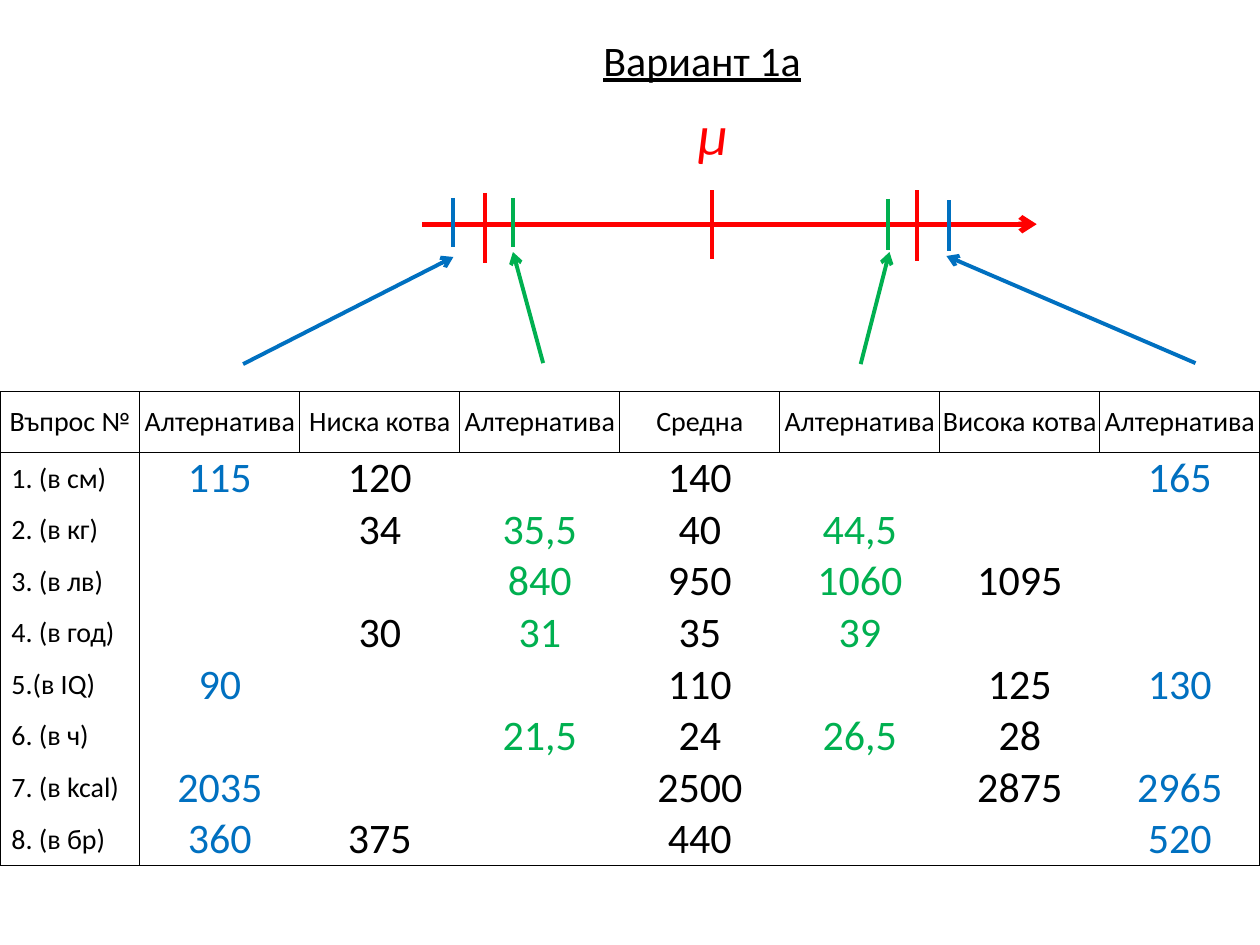
from dataclasses import dataclass

from lxml.etree import SubElement
from pptx import Presentation
from pptx.dml.color import RGBColor
from pptx.enum.shapes import MSO_CONNECTOR as Connector
from pptx.enum.text import MSO_ANCHOR as Anchor
from pptx.enum.text import MSO_AUTO_SIZE as AutoSize
from pptx.enum.text import PP_ALIGN as Align
from pptx.oxml.ns import qn
from pptx.util import Cm, Pt


@dataclass(frozen=True)
class Theme:
    font: str = "Calibri"
    black: str = "000000"
    red: str = "FF0000"
    green: str = "00B050"
    blue: str = "0070C0"
    label_size: int = 16
    body_size: int = 24
    symbol_size: int = 32
    axis_width: float = 3
    line_width: float = 2.25
    border_width: float = 0.5


THEME = Theme()

# Colour, x, top and bottom in centimetres
TICKS = [
    (THEME.blue, 9.14, 3.99, 4.98),
    (THEME.red, 9.78, 3.89, 5.31),
    (THEME.green, 10.34, 3.99, 4.98),
    (THEME.red, 14.35, 3.84, 5.23),
    (THEME.green, 17.91, 4.01, 5.03),
    (THEME.red, 18.49, 3.84, 5.26),
    (THEME.blue, 19.13, 4.04, 5.05),
]

# Colour, start and end in centimetres
POINTERS = [
    (THEME.blue, (4.9, 7.34), (9.14, 5.18)),
    (THEME.green, (10.95, 7.32), (10.34, 5.08)),
    (THEME.green, (17.35, 7.34), (17.93, 5.08)),
    (THEME.blue, (24.1, 7.32), (19.08, 5.16)),
]

ROWS = [
    ["Въпрос №", "Алтернатива", "Ниска котва", "Алтернатива",
     "Средна", "Алтернатива", "Висока котва", "Алтернатива"],
    ["1. (в см)", "115", "120", "", "140", "", "", "165"],
    ["2. (в кг)", "", "34", "35,5", "40", "44,5", "", ""],
    ["3. (в лв)", "", "", "840", "950", "1060", "1095", ""],
    ["4. (в год)", "", "30", "31", "35", "39", "", ""],
    ["5.(в IQ)", "90", "", "", "110", "", "125", "130"],
    ["6. (в ч)", "", "", "21,5", "24", "26,5", "28", ""],
    ["7. (в kcal)", "2035", "", "", "2500", "", "2875", "2965"],
    ["8. (в бр)", "360", "375", "", "440", "", "", "520"],
]
ALTERNATIVE_COLORS = {1: THEME.blue, 3: THEME.green, 5: THEME.green, 7: THEME.blue}
SLIDE_WIDTH, SLIDE_HEIGHT = 25.4, 19.05
QUESTION_WIDTH = 2.82
HEADER_HEIGHT, ROW_HEIGHT = 1.22, 1.04


def add_span(para, text, size, color, italic=False, underline=False):
    span = para.add_run()
    span.text = text
    font = span.font
    font.name, font.size = THEME.font, Pt(size)
    font.color.rgb = RGBColor.from_string(color)
    font.bold, font.italic, font.underline = False, italic, underline


def set_title(page):
    title = page.shapes.title
    title.left, title.top = Cm(11.91), Cm(0.41)
    title.width, title.height = Cm(4.55), Cm(1.57)
    frame = title.text_frame
    frame.auto_size = AutoSize.NONE
    frame.vertical_anchor = Anchor.MIDDLE
    para = frame.paragraphs[0]
    para.alignment = Align.LEFT
    add_span(para, "Вариант 1а", THEME.body_size, THEME.black, underline=True)


def add_mean_symbol(page):
    box = page.shapes.add_textbox(Cm(13.82), Cm(1.88), Cm(1.04), Cm(1.63))
    box.text_frame.word_wrap = True
    box.text_frame.auto_size = AutoSize.SHAPE_TO_FIT_TEXT
    add_span(box.text_frame.paragraphs[0], "μ", THEME.symbol_size, THEME.red, italic=True)


def add_line(page, start, end, color, width=THEME.line_width, arrow=False):
    points = [Cm(value) for value in (*start, *end)]
    line = page.shapes.add_connector(Connector.STRAIGHT, *points)
    line.line.color.rgb = RGBColor.from_string(color)
    line.line.width = Pt(width)
    if arrow:
        SubElement(line.line._get_or_add_ln(), qn("a:tailEnd"), type="arrow")
    SubElement(line._element.spPr, qn("a:effectLst"))


def set_borders(cell, visible):
    """Draw the edges named in visible (letters of LRTB) and hide the others."""
    properties = cell._tc.get_or_add_tcPr()
    for edge in "LRTB":
        border = SubElement(properties, qn(f"a:ln{edge}"), w=str(Pt(THEME.border_width)))
        if edge in visible:
            fill = SubElement(border, qn("a:solidFill"))
            SubElement(fill, qn("a:srgbClr"), val=THEME.black)
        else:
            SubElement(border, qn("a:noFill"))


def cell_edges(row, column):
    """The header is a full grid; below it only the label column and the frame show."""
    last_row, last_column = len(ROWS) - 1, len(ROWS[0]) - 1
    rules = {
        "L": row == 0 or column <= 1,
        "R": row == 0 or column in (0, last_column),
        "T": row <= 1,
        "B": row in (0, last_row),
    }
    return [edge for edge, shown in rules.items() if shown]


def fill_cell(cell, text, row, column):
    is_header = row == 0
    is_label = column == 0 and not is_header
    cell.vertical_anchor = Anchor.MIDDLE
    cell.margin_left = Cm(0.23 if is_label else 0.02)
    cell.margin_right, cell.margin_top, cell.margin_bottom = Cm(0.02), Cm(0.01), Cm(0)
    set_borders(cell, cell_edges(row, column))
    cell.fill.background()
    if text:
        para = cell.text_frame.paragraphs[0]
        para.alignment = Align.LEFT if is_label else Align.CENTER
        size = THEME.label_size if is_header or is_label else THEME.body_size
        color = THEME.black if is_header else ALTERNATIVE_COLORS.get(column, THEME.black)
        add_span(para, text, size, color)


def add_answer_table(page):
    height = HEADER_HEIGHT + ROW_HEIGHT * (len(ROWS) - 1)
    table = page.shapes.add_table(len(ROWS), len(ROWS[0]), Cm(0), Cm(7.9),
                                  Cm(SLIDE_WIDTH), Cm(height)).table
    table.first_row = table.horz_banding = False
    value_width = (SLIDE_WIDTH - QUESTION_WIDTH) / (len(ROWS[0]) - 1)
    for index, column in enumerate(table.columns):
        column.width = Cm(value_width if index else QUESTION_WIDTH)
    for index, row in enumerate(table.rows):
        row.height = Cm(ROW_HEIGHT if index else HEADER_HEIGHT)
        for column, text in enumerate(ROWS[index]):
            fill_cell(row.cells[column], text, index, column)


def main():
    deck = Presentation()
    deck.slide_width, deck.slide_height = Cm(SLIDE_WIDTH), Cm(SLIDE_HEIGHT)
    page = deck.slides.add_slide(deck.slide_layouts[5])
    set_title(page)
    add_mean_symbol(page)
    add_line(page, (8.51, 4.52), (20.9, 4.52), THEME.red, THEME.axis_width, arrow=True)
    for color, x, top, bottom in TICKS:
        add_line(page, (x, top), (x, bottom), color)
    for color, start, end in POINTERS:
        add_line(page, start, end, color, arrow=True)
    add_answer_table(page)
    deck.save("out.pptx")


if __name__ == "__main__":
    main()
